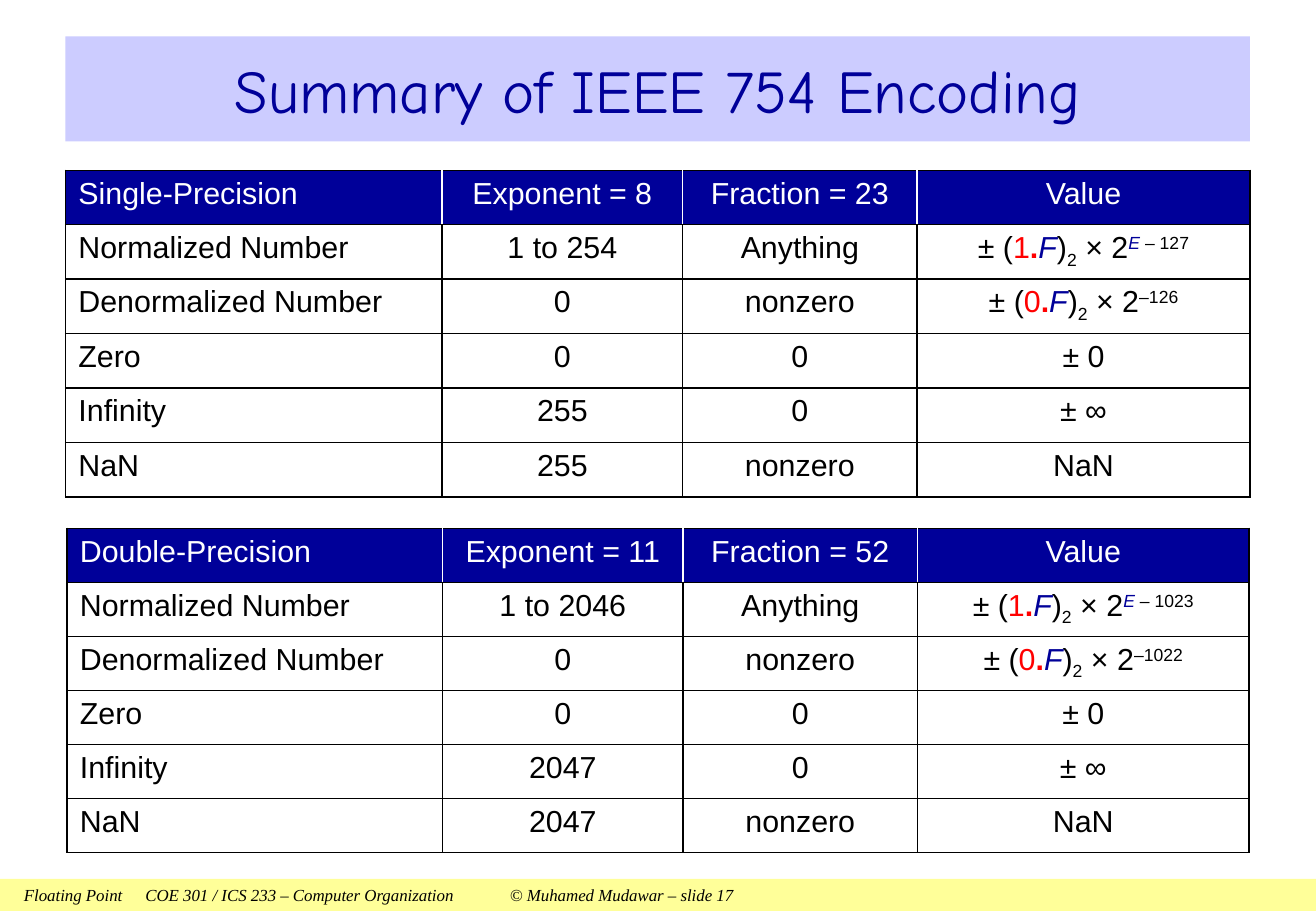
from lxml import etree
from pptx import Presentation
from pptx import util as u
from pptx.dml.color import RGBColor
from pptx.enum import shapes, text
from pptx.oxml import ns

COLORS = {
    "navy": "000099",
    "lavender": "CCCCFF",
    "yellow": "FFFF99",
    "red": "FF0000",
    "black": "000000",
    "white": "FFFFFF",
}
LEFT, CENTER = text.PP_ALIGN.LEFT, text.PP_ALIGN.CENTER
SUBSCRIPT, SUPERSCRIPT = -25, 30


def rgb(name):
    return RGBColor.from_string(COLORS[name])


def style_span(span, size, font, color, bold=False, italic=False, baseline=0):
    span.font.size = u.Pt(size)
    span.font.name = font
    span.font.color.rgb = rgb(color)
    span.font.bold = bold
    span.font.italic = italic
    if baseline:
        span._r.get_or_add_rPr().set("baseline", str(baseline * 1000))


def add_band(page, top, left, width, height, fill, words, align, **style):
    """Filled rectangle holding one line of text; returns its paragraph."""
    band = page.shapes.add_shape(
        shapes.MSO_SHAPE.RECTANGLE, u.Cm(left), u.Cm(top), u.Cm(width), u.Cm(height))
    band.shadow.inherit = False
    band.fill.solid()
    band.fill.fore_color.rgb = rgb(fill)
    band.line.fill.background()
    frame = band.text_frame
    frame.word_wrap = True
    frame.vertical_anchor = text.MSO_ANCHOR.MIDDLE
    frame.margin_left = frame.margin_right = u.Cm(0.5)
    frame.margin_top = frame.margin_bottom = 0
    frame.text = words
    para = frame.paragraphs[0]
    para.alignment = align
    for span in para.runs:
        style_span(span, **style)
    return para


def set_tabs(para, stops):
    tabs = etree.SubElement(para._p.get_or_add_pPr(), ns.qn("a:tabLst"))
    for stop in stops:
        etree.SubElement(tabs, ns.qn("a:tab"), pos=str(u.Cm(stop)), algn="l")


def set_borders(cell, **sides):
    """Takes one colour name per side: L, R, T, B."""
    properties = cell._tc.get_or_add_tcPr()
    for side, color in sides.items():
        line = etree.SubElement(properties, ns.qn("a:ln" + side), w=str(u.Pt(1)))
        fill = etree.SubElement(line, ns.qn("a:solidFill"))
        etree.SubElement(fill, ns.qn("a:srgbClr"), val=COLORS[color])


def formula(lead, exponent):
    """Spans of ± (lead.F)2 × 2^exponent, each with its own styling."""
    return [
        ("± (", {}),
        (lead, {"color": "red"}),
        (".", {"color": "red", "bold": True}),
        ("F", {"color": "navy", "italic": True}),
        (")", {}),
        ("2", {"baseline": SUBSCRIPT}),
        (" × 2", {}),
    ] + [(words, {"baseline": SUPERSCRIPT, **style}) for words, style in exponent]


def encoding_rows(precision, exponent_bits, fraction_bits, bias):
    top_exponent = 2 ** exponent_bits - 1
    biased = [("E ", {"color": "navy", "italic": True}), (f"– {bias}", {})]
    smallest = [(f"–{bias - 1}", {})]
    return [
        (precision, f"Exponent = {exponent_bits}", f"Fraction = {fraction_bits}", "Value"),
        ("Normalized Number", f"1 to {top_exponent - 1}", "Anything", formula("1", biased)),
        ("Denormalized Number", "0", "nonzero", formula("0", smallest)),
        ("Zero", "0", "0", "± 0"),
        ("Infinity", str(top_exponent), "0", "± ∞"),
        ("NaN", str(top_exponent), "nonzero", "NaN"),
    ]


def fill_cell(cell, content, align, header, first, last):
    divider = "white" if header else "black"
    set_borders(cell, L="black" if first else divider,
                R="black" if last else divider, T="black", B="black")
    if header:
        cell.fill.solid()
        cell.fill.fore_color.rgb = rgb("navy")
    else:
        cell.fill.background()
    cell.margin_left = cell.margin_right = u.Cm(0.27)
    cell.margin_top = cell.margin_bottom = u.Cm(0.13)
    para = cell.text_frame.paragraphs[0]
    para.alignment = align
    spans = [(content, {})] if isinstance(content, str) else content
    for words, style in spans:
        span = para.add_run()
        span.text = words
        base = {"size": 18, "font": "Arial", "color": "white" if header else "black"}
        style_span(span, **{**base, **style})


def add_encoding_table(page, left, top, widths, row_height, rows):
    frame = page.shapes.add_table(
        len(rows), len(widths), u.Cm(left), u.Cm(top),
        u.Cm(sum(widths)), u.Cm(row_height * len(rows)))
    table = frame.table
    table.horz_banding = False
    for column, width in zip(table.columns, widths):
        column.width = u.Cm(width)
    for r, row in enumerate(rows):
        table.rows[r].height = u.Cm(row_height)
        for c, content in enumerate(row):
            fill_cell(table.cell(r, c), content, CENTER if c else LEFT,
                      header=r == 0, first=c == 0, last=c == len(row) - 1)


def main():
    deck = Presentation()
    deck.slide_width, deck.slide_height = u.Cm(27.51), u.Cm(19.05)
    page = deck.slides.add_slide(deck.slide_layouts[6])

    # Footer
    footer = add_band(
        page, 18.38, 0, 27.51, 0.68, "yellow",
        "Floating Point\tCOE 301 / ICS 233 – Computer Organization"
        "\t© Muhamed Mudawar – slide 17",
        LEFT, size=10, font="Times New Roman", color="black", italic=True)
    set_tabs(footer, [2.54, 10.16])

    # Title
    add_band(page, 0.76, 1.37, 24.76, 2.2, "lavender", "Summary of IEEE 754 Encoding",
             CENTER, size=36, font="Comic Neue", color="navy")

    # Encoding tables
    add_encoding_table(page, 1.37, 3.56, [7.87, 5.03, 4.9, 6.96], 1.14,
                       encoding_rows("Single-Precision", 8, 23, 127))
    add_encoding_table(page, 1.4, 11.05, [7.85, 5.03, 4.9, 6.93], 1.13,
                       encoding_rows("Double-Precision", 11, 52, 1023))

    deck.save("out.pptx")


main()
